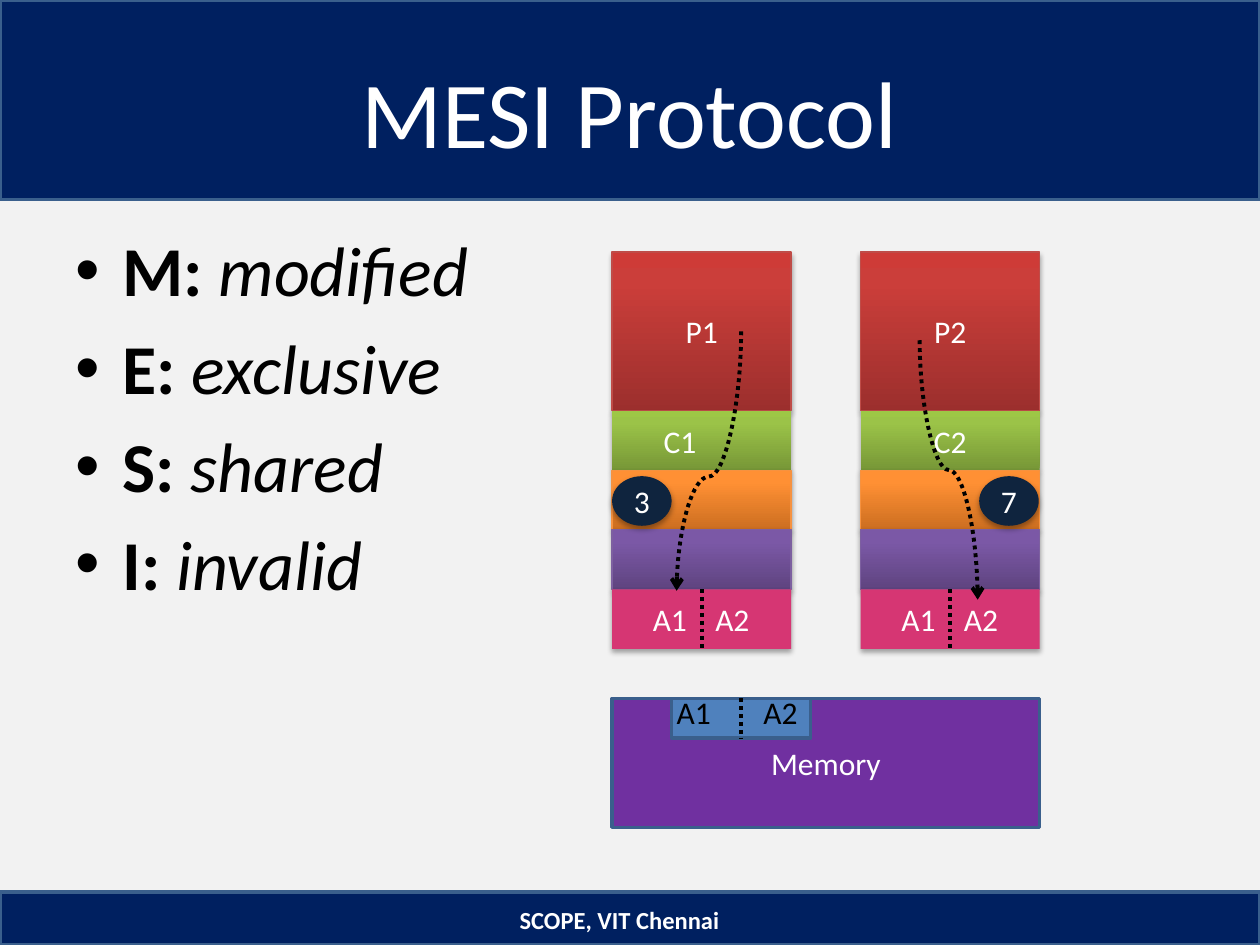
from copy import deepcopy
from dataclasses import dataclass

from lxml import etree
from pptx import Presentation
from pptx.dml.color import RGBColor
from pptx.enum.dml import MSO_LINE
from pptx.enum.shapes import MSO_CONNECTOR, MSO_SHAPE
from pptx.enum.text import MSO_ANCHOR, PP_ALIGN
from pptx.oxml.ns import qn
from pptx.util import Cm, Pt

RECTANGLE, OVAL = MSO_SHAPE.RECTANGLE, MSO_SHAPE.OVAL
STRAIGHT, CURVE = MSO_CONNECTOR.STRAIGHT, MSO_CONNECTOR.CURVE
DOTTED = MSO_LINE.ROUND_DOT
LEFT, CENTER = PP_ALIGN.LEFT, PP_ALIGN.CENTER
TOP, MIDDLE = MSO_ANCHOR.TOP, MSO_ANCHOR.MIDDLE
TITLE_ONLY = 5


@dataclass(frozen=True)
class Theme:
    font: str = "Calibri"
    background: str = "F2F2F2"
    navy: str = "002060"
    outline: str = "3A5F8C"
    white: str = "FFFFFF"
    black: str = "000000"
    address: str = "D63673"
    value: str = "0F243E"
    memory: str = "7030A0"
    memory_block: str = "4F81BD"
    processor: tuple = ("9C2F2D", "CB3E3A", "CE3B37")
    cache: tuple = ("779737", "9BC348", "9DC746")
    orange: tuple = ("CC6E20", "FF9034", "FF9136")
    purple: tuple = ("5F4480", "7B58A6", "7C57A8")
    title_size: int = 54
    body_size: int = 40
    label_size: int = 18
    footer_size: int = 14


THEME = Theme()
GRADIENT_POSITIONS = (0, 0.8, 1)
SLIDE_WIDTH, SLIDE_HEIGHT = 25.4, 19.05
STATES = (("M: ", "modified"), ("E: ", "exclusive"), ("S: ", "shared"), ("I: ", "invalid"))
STACK_TOP, STACK_WIDTH = 5.08, 3.61
PROCESSOR_HEIGHT, LAYER_HEIGHT = 3.2, 1.2
STACK_LEFTS = (12.34, 17.35)
MEMORY_TOP = 14.08


def color(value):
    return RGBColor.from_string(value)


def format_font(font, size, value, bold=False, italic=False):
    font.name, font.size = THEME.font, Pt(size)
    font.bold, font.italic = bold, italic
    font.color.rgb = color(value)


def set_text(shape, text, size=THEME.label_size, value=THEME.white,
             align=CENTER, anchor=MIDDLE, bold=False):
    frame = shape.text_frame
    frame.text = text
    frame.word_wrap = True
    frame.vertical_anchor = anchor
    paragraph = frame.paragraphs[0]
    paragraph.alignment = align
    format_font(paragraph.runs[0].font, size, value, bold)


def set_gradient(fill, shape, colors):
    fill.gradient()
    fill.gradient_angle = 90
    stop_list = shape.element.spPr.find(".//" + qn("a:gsLst"))
    stop_list.append(deepcopy(stop_list[0]))
    for stop, position, value in zip(fill.gradient_stops, GRADIENT_POSITIONS, colors):
        stop.position = position
        stop.color.rgb = color(value)


def add_shadow(shape):
    effects = shape.element.spPr.find(qn("a:effectLst"))
    shadow = etree.SubElement(effects, qn("a:outerShdw"), blurRad=str(Pt(3.1)),
                              dist=str(Pt(1.8)), dir="5400000", rotWithShape="0")
    shade = etree.SubElement(shadow, qn("a:srgbClr"), val=THEME.black)
    etree.SubElement(shade, qn("a:alpha"), val="35000")


def add_block(slide, box, fill, outline=None, outline_width=2, kind=RECTANGLE, shadow=False):
    shape = slide.shapes.add_shape(kind, *map(Cm, box))
    shape.shadow.inherit = False
    if isinstance(fill, tuple):
        set_gradient(shape.fill, shape, fill)
    else:
        shape.fill.solid()
        shape.fill.fore_color.rgb = color(fill)
    if outline:
        shape.line.color.rgb = color(outline)
        shape.line.width = Pt(outline_width)
    else:
        shape.line.fill.background()
    if shadow:
        add_shadow(shape)
    return shape


def add_label(slide, box, text, **style):
    label = slide.shapes.add_textbox(*map(Cm, box))
    set_text(label, text, **style)


def add_dotted_line(slide, kind, start, end):
    connector = slide.shapes.add_connector(kind, *map(Cm, start + end))
    connector.line.color.rgb = color(THEME.black)
    connector.line.width = Pt(2.25)
    connector.line.dash_style = DOTTED
    etree.SubElement(connector.element.spPr, qn("a:effectLst"))
    return connector


def add_divider(slide, x, top, height):
    add_dotted_line(slide, STRAIGHT, (x, top), (x, top + height))


def add_curved_arrow(slide, start, end, bend):
    across, down = end[0] - start[0], end[1] - start[1]
    center_x, center_y = (start[0] + end[0]) / 2, (start[1] + end[1]) / 2
    direction = -1 if across > 0 else 1
    half_length, half_height = direction * down / 2, abs(across) / 2
    connector = add_dotted_line(slide, CURVE,
                                (center_x - half_length, center_y - half_height),
                                (center_x + half_length, center_y + half_height))
    connector.rotation = 90 * direction % 360
    properties = connector.element.spPr
    properties.find(qn("a:xfrm")).set("rot", str(90 * direction % 360 * 60000))
    geometry = properties.find(qn("a:prstGeom"))
    adjustments = geometry.find(qn("a:avLst"))
    if adjustments is None:
        adjustments = etree.SubElement(geometry, qn("a:avLst"))
    etree.SubElement(adjustments, qn("a:gd"), name="adj1", fmla=f"val {round(bend * 100000)}")
    etree.SubElement(properties.find(qn("a:ln")), qn("a:tailEnd"), type="arrow")


def add_title_and_bands(slide):
    title = slide.shapes.title
    title.left, title.top, title.width, title.height = map(Cm, (0.84, 0.64, 23.7, 3.18))
    set_text(title, "MESI Protocol", size=THEME.title_size)
    for top, height in ((0, 4.02), (17.98, 1.07)):
        band = add_block(slide, (0, top, SLIDE_WIDTH, height), THEME.navy, THEME.outline)
        title.element.addprevious(band.element)
    add_label(slide, (6.99, 18.03, 11, 1.02), "SCOPE, VIT Chennai",
              size=THEME.footer_size, bold=True)


def add_states(slide):
    frame = slide.shapes.add_textbox(*map(Cm, (1.27, 4.45, 8.89, 12.57))).text_frame
    frame.word_wrap = True
    for index, (letter, meaning) in enumerate(STATES):
        paragraph = frame.add_paragraph() if index else frame.paragraphs[0]
        properties = paragraph._p.get_or_add_pPr()
        properties.set("marL", str(Cm(0.95)))
        properties.set("indent", str(-Cm(0.95)))
        etree.SubElement(properties, qn("a:buFont"), typeface="Arial")
        etree.SubElement(properties, qn("a:buChar"), char="•")
        paragraph.space_before = Pt(8 if index else 0)
        for text, is_letter in ((letter, True), (meaning, False)):
            run = paragraph.add_run()
            run.text = text
            format_font(run.font, THEME.body_size, THEME.black, is_letter, not is_letter)


def add_address_row(slide, left, top):
    row = add_block(slide, (left, top, STACK_WIDTH, LAYER_HEIGHT), THEME.address, shadow=True)
    set_text(row, "A1\tA2", align=LEFT)
    row.text_frame.margin_left = Cm(0.82)
    properties = row.text_frame.paragraphs[0]._p.get_or_add_pPr()
    tabs = etree.SubElement(properties, qn("a:tabLst"))
    etree.SubElement(tabs, qn("a:tab"), pos=str(Cm(1.26)), algn="l")
    add_divider(slide, left + STACK_WIDTH / 2, top, LAYER_HEIGHT)


def add_stack(slide, left, number, cache_margin):
    layers = ((f"P{number}", PROCESSOR_HEIGHT, THEME.processor, "BF4C48"),
              (f"C{number}", LAYER_HEIGHT, THEME.cache, None),
              ("", LAYER_HEIGHT, THEME.orange, "F69240"),
              ("", LAYER_HEIGHT, THEME.purple, "7D60A0"))
    top = STACK_TOP
    for text, height, fill, outline in layers:
        layer = add_block(slide, (left, top, STACK_WIDTH, height), fill, outline, 0.75, shadow=True)
        if text:
            set_text(layer, text)
        if text.startswith("C"):
            layer.text_frame.margin_right = Cm(cache_margin)
        top += height
    add_address_row(slide, left, top)


def add_memory(slide):
    memory = add_block(slide, (12.34, MEMORY_TOP, 8.62, 2.6), THEME.memory, THEME.outline)
    set_text(memory, "Memory")
    add_block(slide, (13.54, MEMORY_TOP, 2.8, 0.8), THEME.memory_block, THEME.outline)
    add_divider(slide, 14.94, MEMORY_TOP, 0.8)
    for text, left in (("A1", 13.39), ("A2", 15.14)):
        add_label(slide, (left, 13.84, 1.8, 1.02), text, value=THEME.black, align=LEFT, anchor=TOP)


def main():
    presentation = Presentation()
    presentation.slide_width, presentation.slide_height = Cm(SLIDE_WIDTH), Cm(SLIDE_HEIGHT)
    slide = presentation.slides.add_slide(presentation.slide_layouts[TITLE_ONLY])
    slide.background.fill.solid()
    slide.background.fill.fore_color.rgb = color(THEME.background)
    add_title_and_bands(slide)
    add_states(slide)
    for number, (left, margin) in enumerate(zip(STACK_LEFTS, (1.12, 0.25)), 1):
        add_stack(slide, left, number, margin)
    for text, left in (("3", 12.34), ("7", 19.74)):
        value = add_block(slide, (left, 9.6, 1.2, 1), THEME.value, kind=OVAL, shadow=True)
        set_text(value, text)
    add_curved_arrow(slide, (14.94, 6.68), (13.64, 11.91), 0.56)
    add_curved_arrow(slide, (18.54, 6.86), (19.71, 12.09), 0.5)
    add_memory(slide)
    presentation.save("out.pptx")


if __name__ == "__main__":
    main()
